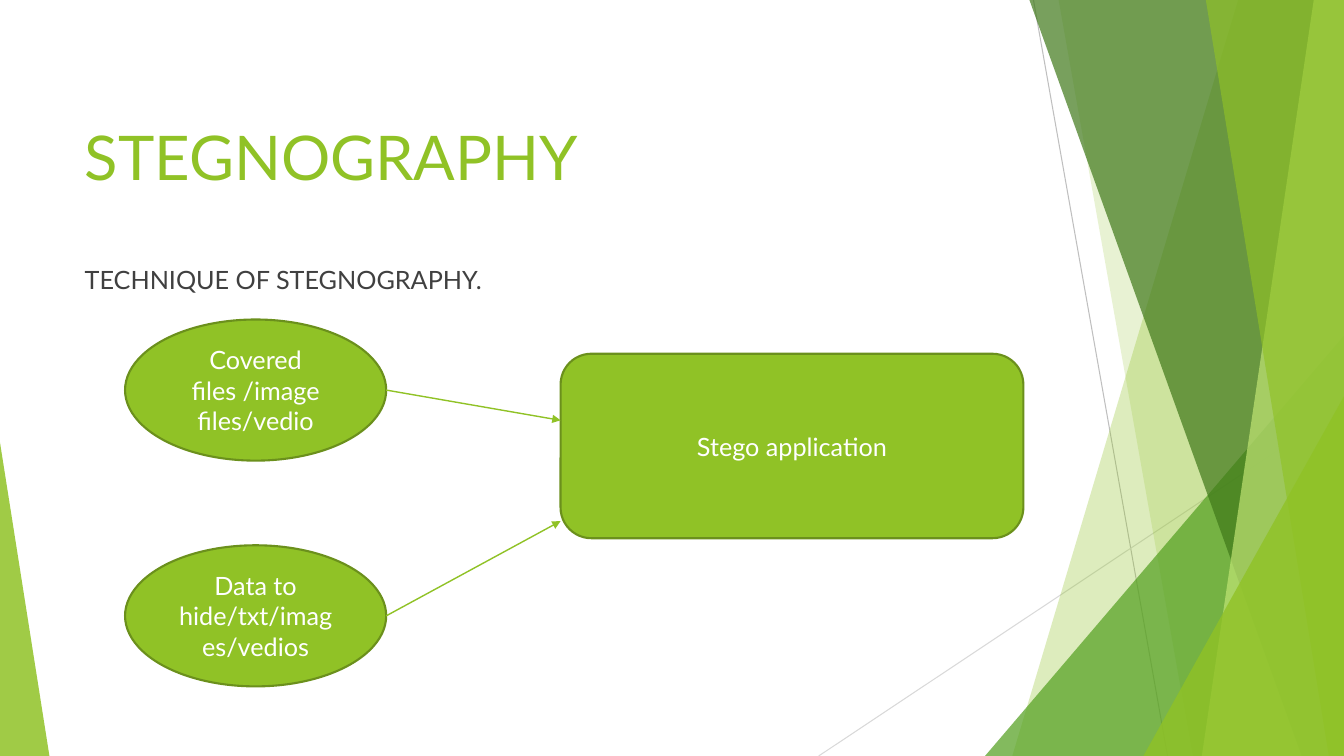
from lxml import etree
from pptx import Presentation
from pptx.dml.color import RGBColor
from pptx.enum.shapes import MSO_CONNECTOR, MSO_SHAPE
from pptx.enum.text import MSO_ANCHOR, PP_ALIGN
from pptx.oxml.ns import qn
from pptx.util import Inches, Pt

LINE = MSO_CONNECTOR.STRAIGHT
OVAL, ROUND = MSO_SHAPE.OVAL, MSO_SHAPE.ROUNDED_RECTANGLE
TRIANGLE = MSO_SHAPE.ISOSCELES_TRIANGLE
TOP, MIDDLE = MSO_ANCHOR.TOP, MSO_ANCHOR.MIDDLE
LEFT, CENTER = PP_ALIGN.LEFT, PP_ALIGN.CENTER

WIDE, HIGH = 13.33, 7.5
HEX = {"lime": "90C226", "pale": "C0E474", "green": "54A021", "dark": "3F7819",
       "edge": "6B901C", "text": "404040", "white": "FFFFFF",
       "gray": "BFBFBF", "mist": "D9D9D9"}


def color(name):
    return RGBColor.from_string(HEX[name])


def apply(item, values):
    for name, value in values.items():
        setattr(item, name, value)


def place(shape, box):
    names = ("left", "top", "width", "height")
    apply(shape, dict(zip(names, map(Inches, box))))


def write(shape, text, size, tint, align, anchor):
    frame = shape.text_frame
    frame.text = text
    apply(frame, {"word_wrap": True, "vertical_anchor": anchor})
    para = frame.paragraphs[0]
    apply(para, {"alignment": align, "space_before": Pt(0)})
    font = para.runs[0].font
    apply(font, {"name": "Lato", "size": Pt(size)})
    font.color.rgb = color(tint)
    return frame


def paint(shape, tint, alpha=100):
    shape.shadow.inherit = False
    shape.fill.solid()
    shape.fill.fore_color.rgb = color(tint)
    if alpha < 100:
        node = shape.fill._xPr.find(".//" + qn("a:srgbClr"))
        etree.SubElement(node, qn("a:alpha"), val=str(alpha * 1000))
    shape.line.fill.background()


def draw_line(slide, start, end, tint, width, arrow=False):
    ends = map(Inches, (*start, *end))
    link = slide.shapes.add_connector(LINE, *ends)
    link.line.color.rgb = color(tint)
    link.line.width = Pt(width)
    if arrow:
        stroke = link.line._get_or_add_ln()
        etree.SubElement(stroke, qn("a:tailEnd"), type="triangle")
    etree.SubElement(link._element.spPr, qn("a:effectLst"))


# Decoration: full-height panels and corner triangles
def add_panel(slide, head, foot, tint, alpha):
    points = [(head, 0), (WIDE, 0), (WIDE, HIGH), (foot, HIGH)]
    points = [(Inches(x), Inches(y)) for x, y in points]
    form = slide.shapes.build_freeform(*points[0], scale=1.0)
    form.add_line_segments(points[1:], close=True)
    paint(form.convert_to_shape(), tint, alpha)


def add_corner(slide, left, width, height, peak, tint, alpha):
    box = map(Inches, (left, HIGH - height, width, height))
    shape = slide.shapes.add_shape(TRIANGLE, *box)
    shape.adjustments[0] = peak
    paint(shape, tint, alpha)


def add_decor(slide):
    draw_line(slide, (10.25, 0), (11.58, HIGH), "gray", 0.75)
    draw_line(slide, (WIDE, 4.03), (8.12, HIGH), "mist", 0.75)
    add_panel(slide, 12.28, 10.04, "lime", 30)
    add_panel(slide, 10.5, 11.83, "lime", 20)
    add_corner(slide, 9.77, 3.56, 4.17, 1, "green", 72)
    add_panel(slide, 10.21, 12.91, "dark", 70)
    add_panel(slide, 13.03, 11.92, "pale", 70)
    add_panel(slide, 11.96, 13.18, "lime", 65)
    add_corner(slide, 11.34, 1.99, 3.57, 1, "lime", 80)
    add_corner(slide, 0, 0.49, 3.11, 0, "lime", 85)


# Title and lead line
def add_text(slide, box):
    left, top, width, height = box
    title, body = slide.placeholders
    place(title, (left, top, width, 1.75))
    write(title, "STEGNOGRAPHY", 44, "lime", LEFT, MIDDLE)
    place(body, (left, top + 1.63, width, height - 1.63))
    frame = write(body, "TECHNIQUE OF STEGNOGRAPHY.", 18, "text", LEFT, TOP)
    frame.margin_top = Inches(0.32)
    props = frame.paragraphs[0]._p.get_or_add_pPr()
    props.set("marL", "0")
    props.set("indent", "0")
    etree.SubElement(props, qn("a:buNone"))


# Diagram: two inputs feed the application
def add_node(slide, kind, box, text):
    shape = slide.shapes.add_shape(kind, *map(Inches, box))
    paint(shape, "lime")
    shape.line.color.rgb = color("edge")
    shape.line.width = Pt(1.5)
    write(shape, text, 18, "white", CENTER, MIDDLE)


def add_flow(slide, box):
    left, top, width, height = box
    oval_w, oval_h, app_w = 2.59, 1.4, 4.59
    app_x = left + width - app_w
    add_node(slide, ROUND, (app_x, top + 0.34, app_w, 1.83), "Stego application")
    inputs = [("Covered files /image files/vedio", top, 1.0),
              ("Data to hide/txt/images/vedios", top + height - oval_h, 2.0)]
    for text, y, drop in inputs:
        add_node(slide, OVAL, (left, y, oval_w, oval_h), text)
        start = (left + oval_w, y + oval_h / 2)
        draw_line(slide, start, (app_x, top + drop), "lime", 1, arrow=True)


def main():
    deck = Presentation()
    apply(deck, {"slide_width": Inches(WIDE), "slide_height": Inches(HIGH)})
    slide = deck.slides.add_slide(deck.slide_layouts[1])
    add_decor(slide)
    add_text(slide, (0.74, 0.67, 9.4, 5.94))
    add_flow(slide, (1.24, 3.17, 8.91, 3.64))
    deck.save("out.pptx")


if __name__ == "__main__":
    main()
